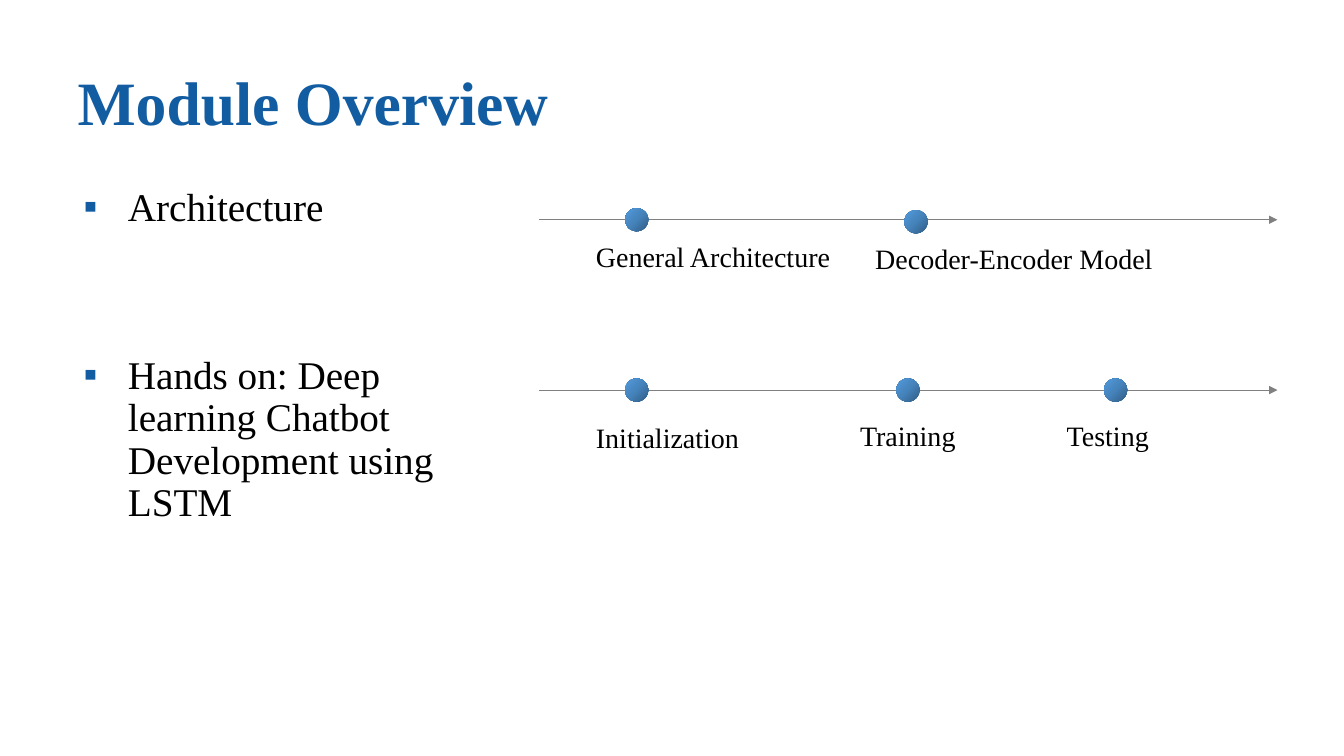
from lxml import etree
from pptx import Presentation
from pptx.dml.color import RGBColor
from pptx.enum.shapes import MSO_CONNECTOR as Connector, MSO_SHAPE as Shape
from pptx.enum.text import MSO_ANCHOR as Anchor, PP_ALIGN as Align
from pptx.oxml.ns import qn
from pptx.util import Inches, Pt

FONT, BLUE, GREY, BLACK = "Times New Roman", "125DA2", "808080", "000000"
TITLE = "Module Overview"
# Bullet text and the space before it, in points
TOPICS = [("Architecture", 10),
          ("Hands on: Deep learning Chatbot Development using LSTM", 90)]
# Axis height, then milestones: label, dot left, dot drop, label left, label top
TIMELINES = [
    (2.18, [("General Architecture", 6.2, 0, 5.85, 2.41),
            ("Decoder-Encoder Model", 8.97, 0.02, 8.62, 2.43)]),
    (3.87, [("Initialization", 6.2, 0, 5.85, 4.2),
            ("Training", 8.89, 0, 8.47, 4.18),
            ("Testing", 10.95, 0, 10.52, 4.18)]),
]
AXIS_LEFT, AXIS_RIGHT = 5.35, 12.67
DOT, LABEL_WIDTH, LABEL_HEIGHT = 0.23, 2.89, 0.31
DOT_STOPS = [(0, "305C84"), (50, "4583BB"), (100, "529BDE")]
DOT_ANGLE = 225


def rgb(value):
    """Turn a hex string into a colour."""
    return RGBColor.from_string(value)


def inches(*lengths):
    """Convert several lengths to slide units."""
    return [Inches(length) for length in lengths]


def add_xml(parent, tag, **attributes):
    """Append a drawing element to its parent."""
    return etree.SubElement(parent, qn(tag), attributes)


def write(para, text, size, color, bold=False):
    """Add one formatted run to a paragraph."""
    para.alignment = Align.LEFT
    para.line_spacing = 0.9
    span = para.add_run()
    span.text = text
    span.font.name, span.font.size, span.font.bold = FONT, Pt(size), bold
    span.font.color.rgb = rgb(color)


def add_bullet(para):
    """Give a paragraph a hanging square bullet."""
    props = para._p.get_or_add_pPr()
    props.set("marL", str(Inches(0.5)))
    props.set("indent", str(Inches(-0.44)))
    add_xml(add_xml(props, "a:buClr"), "a:srgbClr", val=BLUE)
    add_xml(props, "a:buFont", typeface=FONT)
    add_xml(props, "a:buChar", char="▪")


def add_topics(page):
    """Add the bulleted list of topics."""
    frame = page.shapes.add_textbox(*inches(0.67, 1.81, 4.52, 5)).text_frame
    frame.word_wrap = True
    for number, (text, space) in enumerate(TOPICS):
        para = frame.add_paragraph() if number else frame.paragraphs[0]
        write(para, text, 28, BLACK)
        para.space_before = Pt(space)
        add_bullet(para)


def add_axis(page, height):
    """Add a horizontal timeline arrow."""
    axis = page.shapes.add_connector(
        Connector.STRAIGHT, *inches(AXIS_LEFT, height, AXIS_RIGHT, height))
    axis.line.color.rgb = rgb(GREY)
    axis.line.width = Pt(0.75)
    add_xml(axis.line._get_or_add_ln(), "a:tailEnd", type="triangle")
    add_xml(axis._element.spPr, "a:effectLst")


def add_dot(page, left, top):
    """Add a milestone dot with a diagonal gradient."""
    dot = page.shapes.add_shape(Shape.OVAL, *inches(left, top, DOT, DOT))
    gradient = add_xml(dot._element.spPr, "a:gradFill")
    stops = add_xml(gradient, "a:gsLst")
    for position, color in DOT_STOPS:
        stop = add_xml(stops, "a:gs", pos=str(position * 1000))
        add_xml(stop, "a:srgbClr", val=color)
    add_xml(gradient, "a:lin", ang=str(DOT_ANGLE * 60000), scaled="0")
    dot.line.fill.background()
    dot.shadow.inherit = False


def add_label(page, text, left, top):
    """Add the name of a milestone."""
    box = page.shapes.add_textbox(*inches(left, top, LABEL_WIDTH, LABEL_HEIGHT))
    frame = box.text_frame
    frame.word_wrap = True
    frame.vertical_anchor = Anchor.MIDDLE
    frame.margin_left = Inches(0.06)
    frame.margin_right = frame.margin_top = frame.margin_bottom = 0
    write(frame.paragraphs[0], text, 20, BLACK)


deck = Presentation()
deck.slide_width, deck.slide_height = inches(13.33, 7.5)
page = deck.slides.add_slide(deck.slide_layouts[5])

title = page.shapes.title
title.left, title.top, title.width, title.height = inches(0.67, 0.28, 12, 1.53)
title.text_frame.vertical_anchor = Anchor.MIDDLE
write(title.text_frame.paragraphs[0], TITLE, 44, BLUE, bold=True)

add_topics(page)
for height, milestones in TIMELINES:
    add_axis(page, height)
    for text, dot_left, drop, label_left, label_top in milestones:
        add_dot(page, dot_left, height - DOT / 2 + drop)
        add_label(page, text, label_left, label_top)

deck.save("out.pptx")
